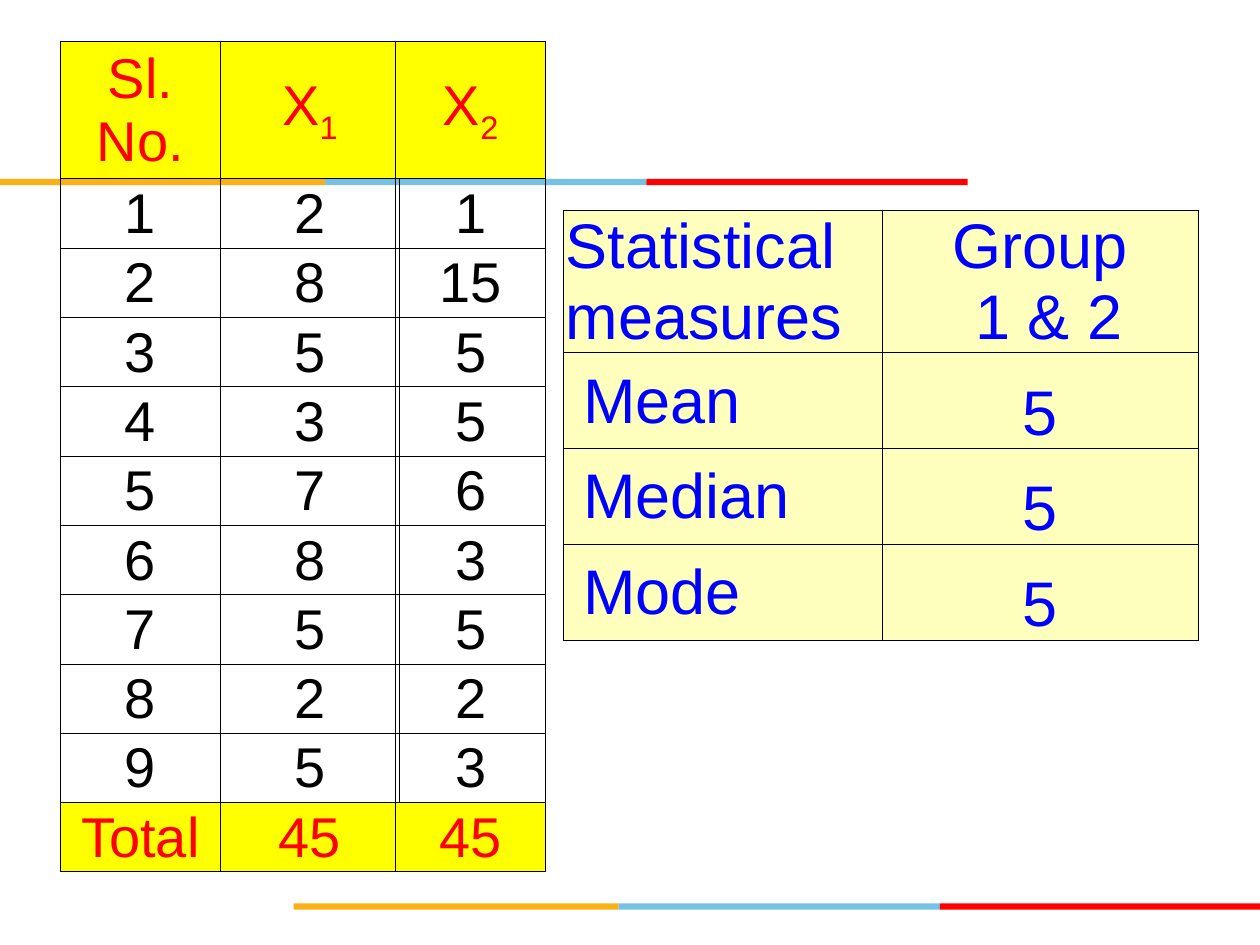
from pptx import Presentation, util as u
from pptx.dml.color import RGBColor
from pptx.enum import shapes, text
from pptx.oxml import parse_xml
from pptx.oxml.ns import nsdecls

CENTER, LEFT = text.PP_ALIGN.CENTER, text.PP_ALIGN.LEFT
MIDDLE, BOTTOM = text.MSO_ANCHOR.MIDDLE, text.MSO_ANCHOR.BOTTOM

STRIPES = [("FCB017", 2.58), ("76C2E5", 2.55), ("FF0000", 2.55)]
RULES = [(2.33, 7.17), (0, 1.42)]
STRIPE_HEIGHT = 0.05

X1 = [2, 8, 5, 3, 7, 8, 5, 2, 5]
X2 = [1, 15, 5, 5, 6, 3, 5, 2, 3]
HEADING = {"size": 32, "color": "FF0000", "fill": "FFFF00", "inset": 0.02}
SCORE = {"size": 32, "color": "000000", "fill": None, "inset": 0.02}
MEASURE = {"size": 36, "color": "0000FF", "fill": "FFFFBD", "inset": 0.02}
SCORE_ROWS = [1.09] + [0.55] * (len(X1) + 1)
SCORE_FORMATS = [HEADING] + [SCORE] * len(X1) + [HEADING]
NARROW_FORMATS = [HEADING] + [SCORE | {"inset": 0.01}] * len(X2) + [HEADING]
CENTERED = (CENTER, MIDDLE)

TABLES = [
    {"at": (0.48, 0.33), "columns": [1.27, 1.42], "rows": SCORE_ROWS,
     "formats": SCORE_FORMATS, "places": [CENTERED] * 2,
     "content": [("Sl. No.", "X_1"), *enumerate(X1, 1), ("Total", sum(X1))]},
    {"at": (3.14, 0.33), "columns": [1.19], "rows": SCORE_ROWS,
     "formats": NARROW_FORMATS, "places": [CENTERED],
     "content": [("X_2",), *((score,) for score in X2), (sum(X2),)]},
    {"at": (4.47, 1.67), "columns": [2.53, 2.51], "rows": [1.13] + [0.76] * 3,
     "formats": [MEASURE] * 4, "places": [(LEFT, MIDDLE), (CENTER, BOTTOM)],
     "content": [("Statistical measures", "Group\n 1 & 2"),
                 (" Mean", 5), (" Median", 5), (" Mode", 5)]},
]


def color(value):
    return RGBColor.from_string(value)


def paint(fill, value):
    if value:
        fill.solid()
        fill.fore_color.rgb = color(value)
    else:
        fill.background()


def add_rule(slide, left, top):
    for tint, width in STRIPES:
        stripe = slide.shapes.add_shape(
            shapes.MSO_SHAPE.RECTANGLE,
            *map(u.Inches, (left, top, width, STRIPE_HEIGHT)))
        stripe.shadow.inherit = False
        stripe.line.fill.background()
        paint(stripe.fill, tint)
        left += width


def add_borders(cell):
    properties = cell._tc.get_or_add_tcPr()
    for index, side in enumerate(("lnL", "lnR", "lnT", "lnB")):
        properties.insert(index, parse_xml(
            f'<a:{side} {nsdecls("a")} w="{u.Pt(0.5)}"><a:solidFill>'
            f'<a:srgbClr val="000000"/></a:solidFill></a:{side}>'))


def write(cell, label, style, align):
    frame = cell.text_frame
    for index, line in enumerate(label.split("\n")):
        paragraph = frame.add_paragraph() if index else frame.paragraphs[0]
        paragraph.alignment = align
        for level, part in enumerate(line.split("_")):
            run = paragraph.add_run()
            run.text = part
            font = {"name": "Arial", "size": u.Pt(style["size"])}
            for key, value in font.items():
                setattr(run.font, key, value)
            run.font.color.rgb = color(style["color"])
            if level:
                run._r.get_or_add_rPr().set("baseline", "-25000")


def format_cell(cell, label, style, align, anchor):
    side = u.Inches(style["inset"])
    layout = {"margin_left": side, "margin_right": side,
              "margin_top": u.Inches(0.01), "margin_bottom": 0,
              "vertical_anchor": anchor}
    for key, value in layout.items():
        setattr(cell, key, value)
    paint(cell.fill, style["fill"])
    add_borders(cell)
    write(cell, str(label), style, align)


def add_table(slide, at, columns, rows, formats, places, content):
    size = sum(columns), sum(rows)
    table = slide.shapes.add_table(
        len(rows), len(columns), *map(u.Inches, at + size)).table
    table.first_row = table.horz_banding = False
    for column, width in zip(table.columns, columns):
        column.width = u.Inches(width)
    for row, height, style, labels in zip(table.rows, rows, formats, content):
        row.height = u.Inches(height)
        for cell, label, place in zip(row.cells, labels, places):
            format_cell(cell, label, style, *place)


def main():
    deck = Presentation()
    deck.slide_width, deck.slide_height = u.Inches(10), u.Inches(7.5)
    slide = deck.slides.add_slide(deck.slide_layouts[6])
    for rule in RULES:
        add_rule(slide, *rule)
    for table in TABLES:
        add_table(slide, **table)
    deck.save("out.pptx")


if __name__ == "__main__":
    main()
